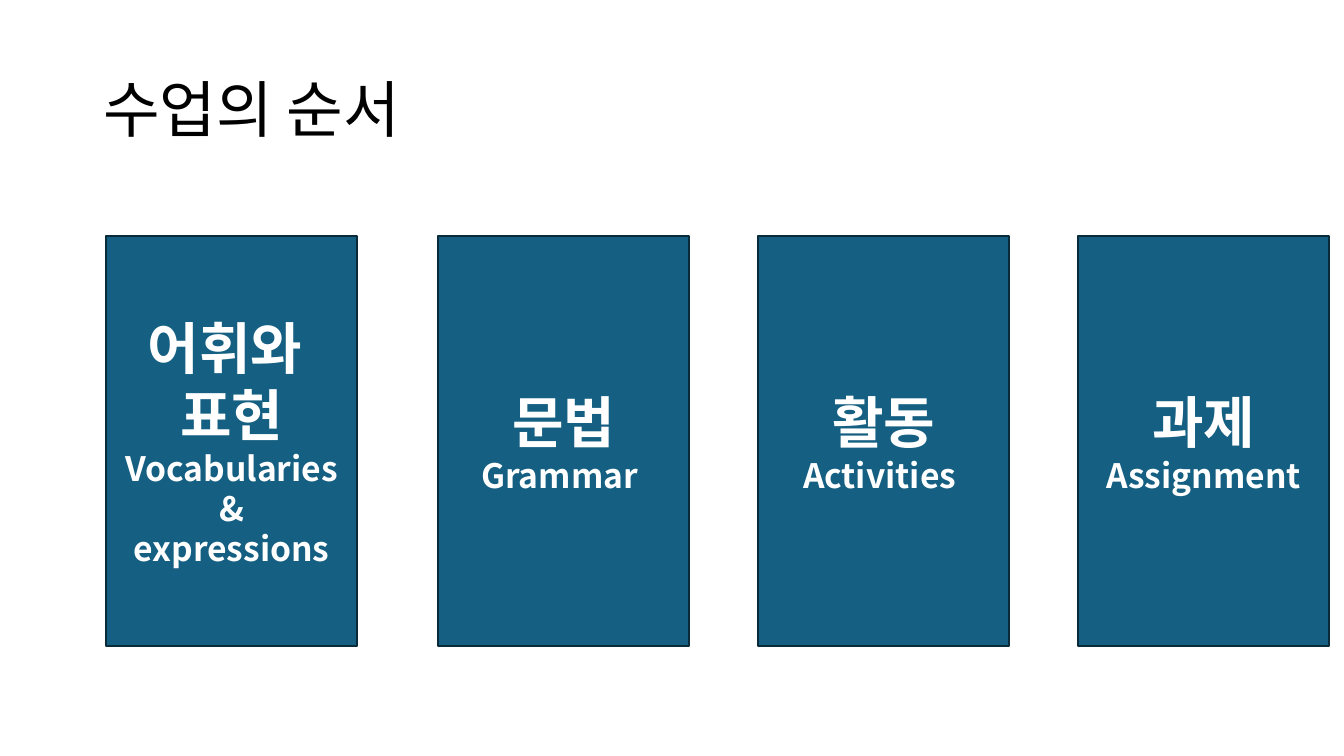
from lxml.etree import SubElement
from pptx import Presentation
from pptx.dml.color import RGBColor
from pptx.enum.shapes import MSO_SHAPE
from pptx.enum.text import MSO_ANCHOR, MSO_AUTO_SIZE, PP_ALIGN
from pptx.oxml.ns import qn
from pptx.util import Emu, Pt

FONT = "Noto Sans CJK KR"
BLACK = RGBColor(0x00, 0x00, 0x00)
WHITE = RGBColor(0xFF, 0xFF, 0xFF)
TEAL = RGBColor(0x15, 0x60, 0x82)
DARK_TEAL = RGBColor(0x09, 0x2A, 0x39)


def px(length):
    return Emu(round(length * 914400 / 100.8))


def add_run(paragraph, text, size, color, bold):
    run = paragraph.add_run()
    run.text = text
    run.font.size = Pt(size)
    run.font.bold = bold
    run.font.color.rgb = color
    run.font.name = FONT
    SubElement(run.font._element, qn("a:ea")).set("typeface", FONT)


presentation = Presentation()
presentation.slide_width = px(1344)
presentation.slide_height = px(756)
slide = presentation.slides.add_slide(presentation.slide_layouts[5])

title = slide.shapes.title
title.left, title.top, title.width, title.height = px(93), px(40), px(1159), px(146)
title_frame = title.text_frame
title_frame.auto_size = MSO_AUTO_SIZE.NONE
title_frame.vertical_anchor = MSO_ANCHOR.MIDDLE
title_paragraph = title_frame.paragraphs[0]
title_paragraph.alignment = PP_ALIGN.LEFT
title_paragraph.line_spacing = 0.9
add_run(title_paragraph, "수업의 순서", 44, BLACK, False)

STEPS = [
    (106, ["어휘와 ", "표현"], ["Vocabularies", "&", "expressions"]),
    (438, ["문법"], ["Grammar "]),
    (758, ["활동"], ["Activities "]),
    (1078, ["과제"], ["Assignment"]),
]

for left, korean_lines, english_lines in STEPS:
    card = slide.shapes.add_shape(MSO_SHAPE.RECTANGLE, px(left), px(236), px(251), px(410))
    card.shadow.inherit = False
    card.fill.solid()
    card.fill.fore_color.rgb = TEAL
    card.line.color.rgb = DARK_TEAL
    card.line.width = Pt(1.5)
    frame = card.text_frame
    frame.word_wrap = True
    frame.vertical_anchor = MSO_ANCHOR.MIDDLE
    lines = [(text, 40) for text in korean_lines] + [(text, 24) for text in english_lines]
    for index, (text, size) in enumerate(lines):
        paragraph = frame.add_paragraph() if index else frame.paragraphs[0]
        paragraph.alignment = PP_ALIGN.CENTER
        add_run(paragraph, text, size, WHITE, True)

presentation.save("out.pptx")
